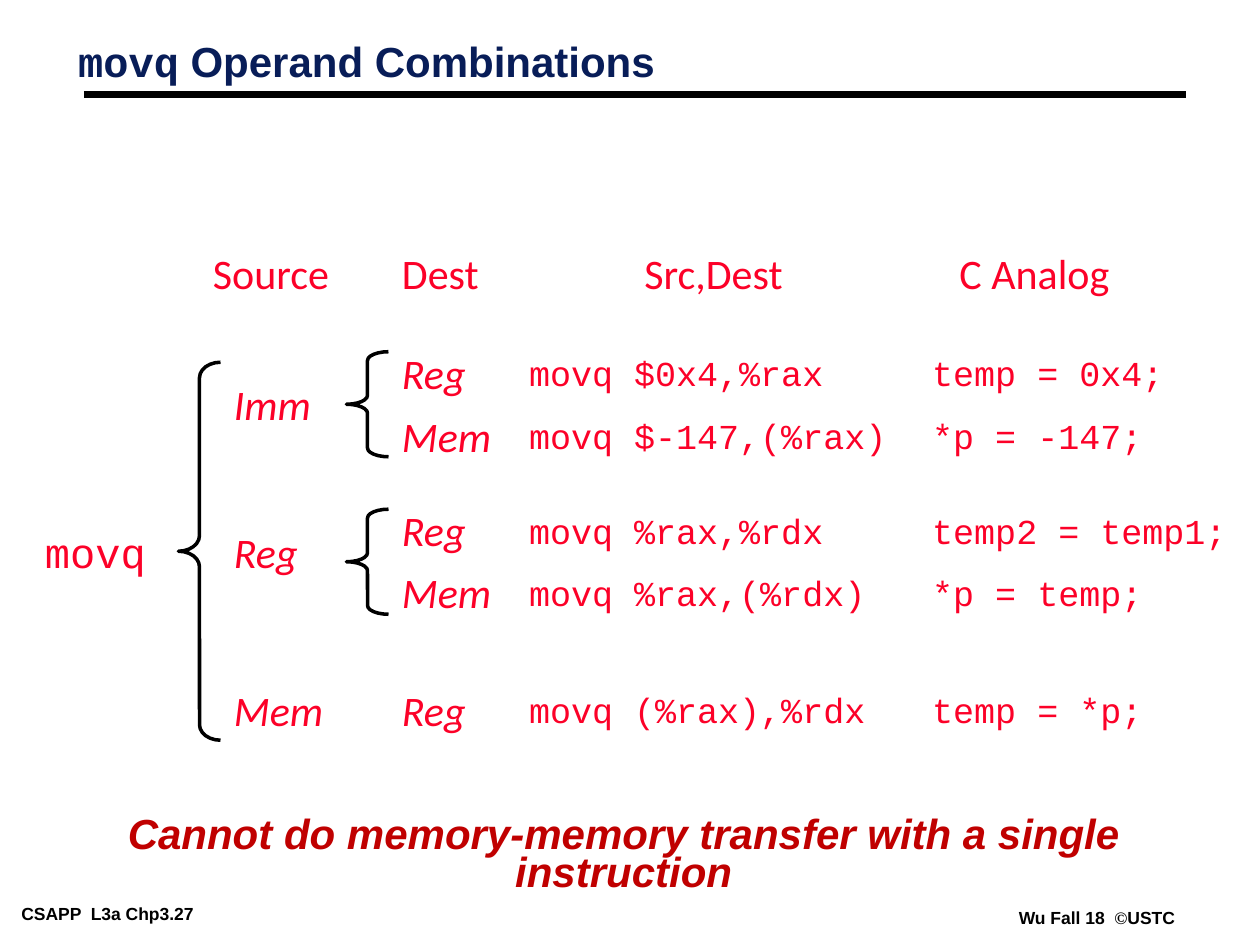
from lxml import etree
from pptx import Presentation
from pptx.dml.color import RGBColor
from pptx.enum.shapes import MSO_CONNECTOR, MSO_SHAPE
from pptx.enum.text import MSO_ANCHOR, MSO_AUTO_SIZE, PP_ALIGN
from pptx.oxml.ns import qn
from pptx.util import Inches, Pt

TOP, NONE = MSO_ANCHOR.TOP, MSO_AUTO_SIZE.NONE
LEFT, MID = PP_ALIGN.LEFT, PP_ALIGN.CENTER
BRACE, LINE = MSO_SHAPE.LEFT_BRACE, MSO_CONNECTOR.STRAIGHT

THEME = {
    "title": ("Arial", 24, "081D58", True, False),
    "name": ("Courier New", 24, "081D58", True, False),
    "note": ("Arial", 24, "C00000", True, True),
    "head": ("Calibri", 24, "FC0128", False, False),
    "kind": ("Calibri", 24, "FC0128", False, True),
    "root": ("Courier New", 24, "FC0128", False, False),
    "code": ("Courier New", 20, "FC0128", False, False),
    "foot": ("Arial", 10, "000000", True, False),
    "sign": ("Times New Roman", 10, "000000", True, False),
    "ink": "000000", "rule": 4.5, "brace": 2,
}

TITLE = [("movq", "name"), (" Operand Combinations", "title")]
NOTE = [("Cannot do memory-memory transfer with a single instruction", "note")]
FEET = [
    ((1.2, 85.6, 24.2, 2.6), [("CSAPP  L3a Chp3.27", "foot")]),
    ((96.2, 86, 16.6, 2.6), [("Wu Fall 18  ", "foot"), ("©", "sign"), ("USTC", "foot")]),
]
HEADS = [(19.1, "Source"), (37.1, "Dest"), (60.2, "Src,Dest"), (90.2, "C Analog")]
TREE = [
    ("Imm", 38.5, [
        (35.5, "Reg", "movq $0x4,%rax", "temp = 0x4;"),
        (41.5, "Mem", "movq $-147,(%rax)", "*p = -147;")]),
    ("Reg", 52.6, [
        (50.5, "Reg", "movq %rax,%rdx", "temp2 = temp1;"),
        (56.4, "Mem", "movq %rax,(%rdx)", "*p = temp;")]),
    ("Mem", 67.6, [
        (67.6, "Reg", "movq (%rax),%rdx", "temp = *p;")]),
]
BRACES = [(17, 34.5, 36, 0.37), (33, 33.5, 10, 0.21), (33, 48.5, 10, 0.21)]
WIDTHS = {"Reg": 8.5, "Mem": 10.9, "Imm": 9.7, "Source": 13.4,
          "Dest": 9.7, "Src,Dest": 15.6, "C Analog": 16.7}
ROOT, SRC, DEST, CODE, ANALOG = 3.1, 21.1, 37.1, 49.2, 87.6
HEAD_ROW, ROOT_ROW = 26, 52.6

deck = Presentation()
deck.slide_width, deck.slide_height = Inches(10), Inches(7.5)
COL, ROW = deck.slide_width / 120, deck.slide_height / 90
slide = deck.slides.add_slide(deck.slide_layouts[1])
shapes = slide.shapes


def grid(x, y, w, h):
    return int(x * COL), int(y * ROW), int(w * COL), int(h * ROW)


def apply(item, values):
    for key, value in values.items():
        setattr(item, key, value)


def write(shape, runs, inset, wrap=True, **style):
    frame = shape.text_frame
    side, edge = (Inches(v) for v in inset)
    apply(frame, {"margin_left": side, "margin_right": side, "margin_top": edge,
                  "margin_bottom": edge, "word_wrap": wrap, "auto_size": NONE,
                  "vertical_anchor": TOP})
    para = frame.paragraphs[0]
    apply(para, {"alignment": LEFT, "space_before": Pt(0), **style})
    for text, role in runs:
        run = para.add_run()
        run.text = text
        face, size, tint, bold, slant = THEME[role]
        apply(run.font, {"name": face, "size": Pt(size), "bold": bold, "italic": slant})
        run.font.color.rgb = RGBColor.from_string(tint)
    return para


def place(shape, area):
    apply(shape, dict(zip(("left", "top", "width", "height"), grid(*area))))


def label(x, mid, text, role):
    size = THEME[role][1]
    wide = WIDTHS.get(text, len(text) * size / 10 + 2.4)
    high = size * 0.2 + 1.2
    box = shapes.add_textbox(*grid(x, mid - high / 2, wide, high))
    write(box, [(text, role)], (0.1, 0.05), wrap=False)


def stroke(shape, width):
    shape.line.color.rgb = RGBColor.from_string(THEME["ink"])
    shape.line.width = Pt(width)


title, body = shapes.title, slide.placeholders[1]
place(title, (6.6, 3.7, 94, 7.6))
write(title, TITLE, (0.07, 0.03), line_spacing=0.87)
place(body, (6, 78, 106.8, 7.2))
para = write(body, NOTE, (0, 0), alignment=MID, line_spacing=0.75)
props = para._p.get_or_add_pPr()
for key in ("marL", "indent"):
    props.set(key, "0")
etree.SubElement(props, qn("a:buNone"))

x, y, w, h = grid(8, 9, 105, 0)
rule = shapes.add_connector(LINE, x, y, x + w, y)
stroke(rule, THEME["rule"])
etree.SubElement(rule._element.spPr, qn("a:effectLst"))

for area, runs in FEET:
    write(shapes.add_textbox(*grid(*area)), runs, (0.07, 0.03), wrap=False)

for x, y, high, curve in BRACES:
    brace = shapes.add_shape(BRACE, *grid(x, y, 4, high))
    brace.shadow.inherit = False
    brace.fill.background()
    brace.adjustments[0] = curve
    stroke(brace, THEME["brace"])

label(ROOT, ROOT_ROW, "movq", "root")
for x, text in HEADS:
    label(x, HEAD_ROW, text, "head")
for src, mid, leaves in TREE:
    label(SRC, mid, src, "kind")
    for row, dest, code, analog in leaves:
        label(DEST, row, dest, "kind")
        label(CODE, row, code, "code")
        label(ANALOG, row, analog, "code")

deck.save("out.pptx")
